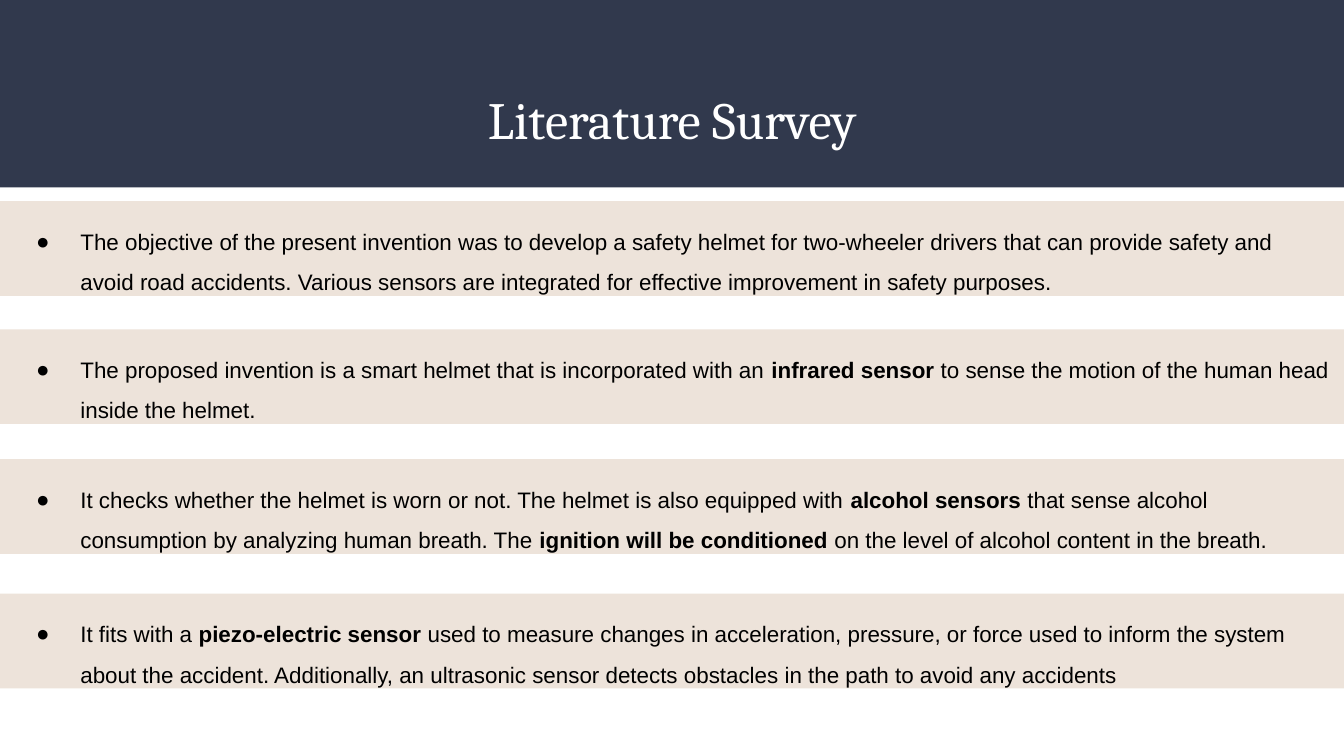
from dataclasses import dataclass

import pptx
import pptx.dml.color
import pptx.enum.shapes
import pptx.enum.text
import pptx.util
from lxml import etree

COLS, ROWS = 100, 56.25  # grid of the slide, in tenths of an inch


@dataclass(frozen=True)
class Theme:
    navy: str = "31394D"
    sand: str = "EDE3DA"
    white: str = "FFFFFF"
    black: str = "000000"
    title_font: str = "Cambria"
    body_font: str = "Arial"
    title_size: int = 28
    body_size: int = 12


@dataclass(frozen=True)
class Finding:
    row: float
    text: str  # parts between ** are bold


THEME = Theme()
BAND_ROWS = 7.05
FINDINGS = [
    Finding(14.97, "The objective of the present invention was to develop a safety helmet "
            "for two-wheeler drivers that can provide safety and avoid road accidents. "
            "Various sensors are integrated for effective improvement in safety purposes."),
    Finding(24.5, "The proposed invention is a smart helmet that is incorporated with an "
            "**infrared sensor** to sense the motion of the human head inside the helmet."),
    Finding(34.17, "It checks whether the helmet is worn or not. The helmet is also equipped "
            "with** alcohol sensors** that sense alcohol consumption by analyzing human "
            "breath. The **ignition will be conditioned** on the level of alcohol content "
            "in the breath."),
    Finding(44.17, "It fits with a **piezo-electric sensor** used to measure changes in "
            "acceleration, pressure, or force used to inform the system about the accident. "
            "Additionally, an ultrasonic sensor detects obstacles in the path to avoid any "
            "accidents"),
]


def grid(n: float) -> int:
    return pptx.util.Inches(n / 10)


def rgb(color: str) -> pptx.dml.color.RGBColor:
    return pptx.dml.color.RGBColor.from_string(color)


def set_font(p, name: str, size: int, color: str) -> None:
    p.font.name = name
    p.font.size = pptx.util.Pt(size)
    p.font.color.rgb = rgb(color)


def prepare_frame(tf, anchor) -> None:
    tf.word_wrap = True
    tf.vertical_anchor = anchor
    tf.margin_left = tf.margin_right = tf.margin_top = tf.margin_bottom = grid(1)


def add_band(s, row: float, rows: float, color: str):
    """Draw a plain band across the whole slide."""
    sp = s.shapes.add_shape(pptx.enum.shapes.MSO_SHAPE.RECTANGLE,
                            0, grid(row), grid(COLS), grid(rows))
    sp.shadow.inherit = False
    sp.fill.solid()
    sp.fill.fore_color.rgb = rgb(color)
    sp.line.fill.background()
    return sp


def add_bullet(p, char: str, color: str) -> None:
    pPr = p._p.get_or_add_pPr()
    pPr.set("marL", str(pptx.util.Inches(0.5)))
    pPr.set("indent", str(pptx.util.Inches(-0.33)))
    ns = "{http://schemas.openxmlformats.org/drawingml/2006/main}"
    bullet_color = etree.Element(ns + "buClr")
    etree.SubElement(bullet_color, ns + "srgbClr", val=color)
    size = etree.Element(ns + "buSzPts", val=str(THEME.body_size * 100))
    font = etree.Element(ns + "buFont", typeface=THEME.body_font)
    bullet = etree.Element(ns + "buChar", char=char)
    # Bullet settings stand after line spacing and before the default font
    at = pPr.index(pPr.find(ns + "defRPr"))
    pPr[at:at] = [bullet_color, size, font, bullet]


def add_title(s, text: str) -> None:
    add_band(s, 0, 13.95, THEME.navy)
    sp = s.shapes.add_textbox(grid(3.4), grid(5.45), grid(COLS - 6.8), grid(6.8))
    prepare_frame(sp.text_frame, pptx.enum.text.MSO_ANCHOR.MIDDLE)
    p = sp.text_frame.paragraphs[0]
    p.text = text
    p.alignment = pptx.enum.text.PP_ALIGN.CENTER
    set_font(p, THEME.title_font, THEME.title_size, THEME.white)


def add_finding(s, finding: Finding) -> None:
    sp = add_band(s, finding.row, BAND_ROWS, THEME.sand)
    prepare_frame(sp.text_frame, pptx.enum.text.MSO_ANCHOR.TOP)
    p = sp.text_frame.paragraphs[0]
    p.alignment = pptx.enum.text.PP_ALIGN.LEFT
    p.line_spacing = 1.5
    set_font(p, THEME.body_font, THEME.body_size, THEME.black)
    add_bullet(p, "●", THEME.black)
    for i, part in enumerate(finding.text.split("**")):
        r = p.add_run()
        r.text = part
        r.font.bold = i % 2 == 1


def main() -> None:
    prs = pptx.Presentation()
    prs.slide_width, prs.slide_height = grid(COLS), grid(ROWS)
    s = prs.slides.add_slide(prs.slide_layouts[6])

    # Header
    add_title(s, "Literature Survey")

    # Findings
    for finding in FINDINGS:
        add_finding(s, finding)

    prs.save("out.pptx")


if __name__ == "__main__":
    main()
